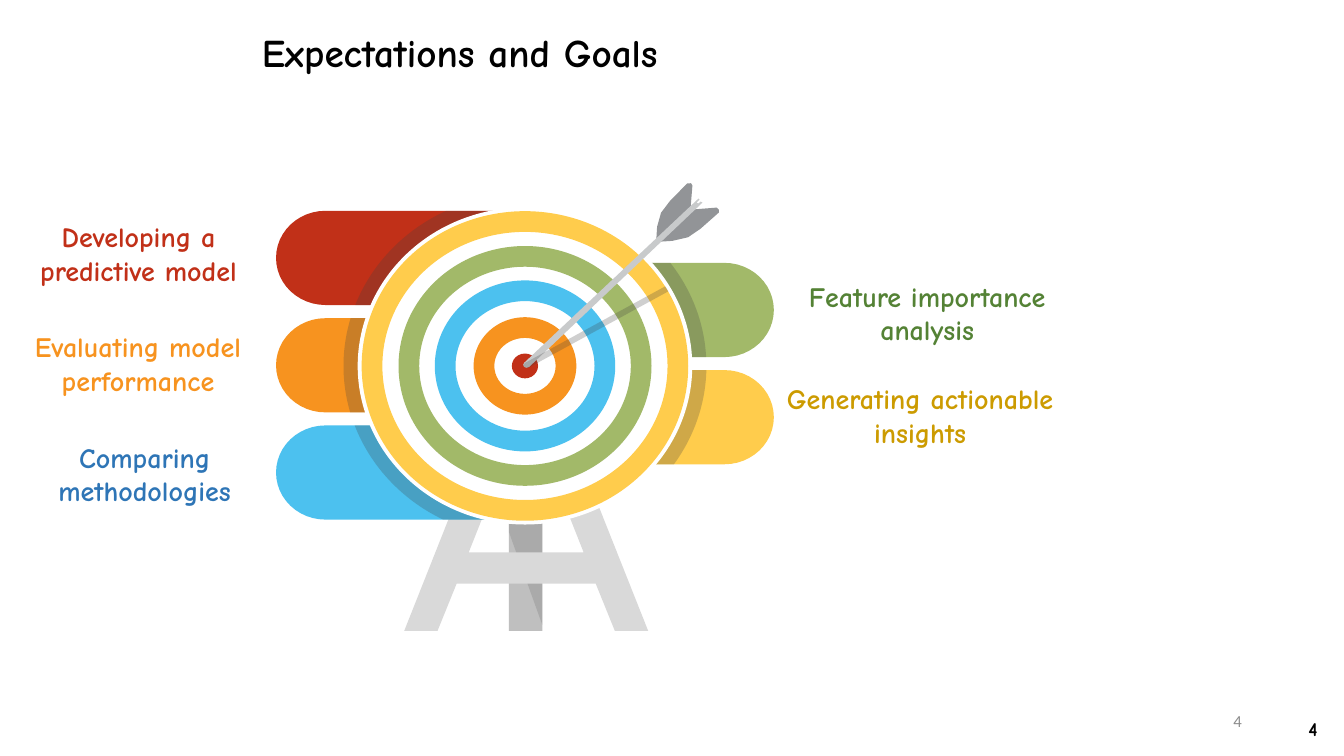
"""Build the slide of goals set around a target with an arrow."""
from math import cos, pi, sin, sqrt
from typing import NamedTuple

from lxml import etree
from pptx import Presentation
from pptx.dml.color import RGBColor
from pptx.enum.shapes import MSO_SHAPE
from pptx.enum.text import MSO_ANCHOR, PP_ALIGN
from pptx.oxml.ns import qn
from pptx.util import Pt

RECT, OVAL, DONUT = MSO_SHAPE.RECTANGLE, MSO_SHAPE.OVAL, MSO_SHAPE.DONUT
TOP, MIDDLE = MSO_ANCHOR.TOP, MSO_ANCHOR.MIDDLE
CENTER, RIGHT = PP_ALIGN.CENTER, PP_ALIGN.RIGHT

BLACK = RGBColor(0x00, 0x00, 0x00)
WHITE = RGBColor(0xFF, 0xFF, 0xFF)
RED = RGBColor(0xC1, 0x30, 0x18)
ORANGE = RGBColor(0xF7, 0x93, 0x1F)
BLUE = RGBColor(0x4C, 0xC1, 0xEF)
GREEN = RGBColor(0xA2, 0xB9, 0x69)
YELLOW = RGBColor(0xFF, 0xCC, 0x4C)
LEAF = RGBColor(0x54, 0x82, 0x35)
NAVY = RGBColor(0x2E, 0x75, 0xB6)
GOLD = RGBColor(0xCC, 0x9B, 0x00)
SHADE = RGBColor(0x40, 0x40, 0x40)
POST = RGBColor(0xBF, 0xBF, 0xBF)
LEGS = RGBColor(0xD9, 0xD9, 0xD9)
VANE = RGBColor(0x92, 0x94, 0x97)
SHAFT = RGBColor(0xC8, 0xCA, 0xCB)
GRAY = RGBColor(0x8C, 0x8C, 0x8C)

HAND, PLAIN = "Comic Neue", "Calibri"
MID_X, MID_Y = 375, 261.4
RATIO = 1.055
BAND = 14.8
TAB_W, TAB_H = 177.8, 67.3
CAP_X, CAP_Y = 35.3, TAB_H / 2
CAST_X, CAST_Y = 129.6, 123
STEPS = 24

Points = list[tuple[float, float]]


class Tab(NamedTuple):
    side: int
    top: float
    color: RGBColor


class Ring(NamedTuple):
    width: float
    color: RGBColor
    solid: bool = False


class Patch(NamedTuple):
    points: Points
    color: RGBColor
    alpha: int = 100


class Label(NamedTuple):
    text: str
    left: float
    top: float
    width: float
    height: float
    color: RGBColor
    size: float = 20
    font: str = HAND
    bold: bool = True
    align: PP_ALIGN = CENTER
    anchor: MSO_ANCHOR = TOP


TABS = [
    Tab(-1, 150.6, RED),
    Tab(-1, 227.3, ORANGE),
    Tab(-1, 303.9, BLUE),
    Tab(1, 187.8, GREEN),
    Tab(1, 264.4, YELLOW),
]
RINGS = [
    Ring(239, WHITE, True),
    Ring(128.9, BLUE),
    Ring(180.7, GREEN),
    Ring(233.3, YELLOW),
    Ring(73.4, ORANGE),
    Ring(18.7, RED, True),
]
STAND = [
    Patch([(387.4, 368.6), (387.4, 446.4), (363.6, 380.2), (363.6, 368.6)],
          SHADE, 16),
    Patch([(439.2, 450.7), (463, 450.7), (427, 360), (403.2, 360),
           (416.9, 394.6), (334.8, 394.6), (348.5, 360), (324.7, 360),
           (288.7, 450.7), (312.5, 450.7), (326.2, 416.9), (425.5, 416.9)],
          LEGS),
]
ARROW = [
    Patch([(469.4, 162), (468.7, 172.8), (493.2, 149.8), (494.6, 132.5),
           (493.6, 130.9), (491, 131), (478.8, 143.3), (472.2, 152)], VANE),
    Patch([(480.2, 172.1), (468.7, 172.8), (493.2, 149.8), (511.9, 148.3),
           (513.4, 149.7), (513.4, 151.9), (500.4, 163.4), (491.5, 169.5)],
          VANE),
    Patch([(499.7, 142.6), (497.5, 144.7), (499, 145.4), (500.4, 144),
           (501.8, 144.7), (378, 262.1), (376.2, 262.7), (374.4, 262.1),
           (373.7, 260.6), (374.4, 259.2), (499, 141.8)], SHAFT),
    Patch([(375.1, 259.2), (475.2, 204.5), (477.4, 208.1), (377.3, 262.8),
           (374.4, 262.1), (373.8, 260.6)], SHADE, 25),
]
LABELS = [
    Label("4", 678.2, 500.4, 216, 28.8, GRAY, 12, PLAIN, False, RIGHT, MIDDLE),
    Label("4", 732.2, 506.2, 216, 28.8, BLACK, 14, align=RIGHT, anchor=MIDDLE),
    Label("Expectations and Goals", 150.5, 0, 355.7, 73.4, BLACK, 28,
          anchor=MIDDLE),
    Label("Developing a predictive model", 1.4, 153.4, 195.1, 55.4, RED),
    Label("Feature importance analysis", 537.8, 195.8, 249.1, 55.4, LEAF),
    Label("Evaluating model performance", 6.5, 231.8, 184.3, 55.4, ORANGE),
    Label("Comparing methodologies", 11.5, 311, 183.6, 55.4, NAVY),
    Label("Generating actionable insights", 537.8, 269.3, 239, 55.4, GOLD),
]


def paint(shape, color: RGBColor, alpha: int = 100) -> None:
    shape.shadow.inherit = False
    shape.line.fill.background()
    shape.fill.solid()
    shape.fill.fore_color.rgb = color
    if alpha < 100:
        tone = shape.fill._xPr.find(qn("a:solidFill"))[0]
        etree.SubElement(tone, qn("a:alpha")).set("val", str(alpha * 1000))


def draw_patch(slide, patch: Patch) -> None:
    spots = [(Pt(x), Pt(y)) for x, y in patch.points]
    pen = slide.shapes.build_freeform(*spots[0])
    pen.add_line_segments(spots[1:], close=True)
    paint(pen.convert_to_shape(), patch.color, patch.alpha)


def draw_tab(slide, tab: Tab) -> None:
    low = tab.top + TAB_H
    cap, cast = [], []
    for step in range(STEPS + 1):
        turn = pi * step / STEPS - pi / 2
        reach = TAB_W - CAP_X + CAP_X * cos(turn)
        cap.append((MID_X + tab.side * reach,
                    tab.top + CAP_Y + CAP_Y * sin(turn)))
        y = tab.top + TAB_H * step / STEPS
        reach = CAST_X * sqrt(1 - ((y - MID_Y) / CAST_Y) ** 2)
        cast.append((MID_X + tab.side * reach, y))
    ends = [(MID_X, low), (MID_X, tab.top)]
    draw_patch(slide, Patch(cap + ends, tab.color))
    draw_patch(slide, Patch(cast + ends, SHADE, 25))


def draw_ring(slide, ring: Ring) -> None:
    high = ring.width / RATIO
    shape = slide.shapes.add_shape(
        OVAL if ring.solid else DONUT, Pt(MID_X - ring.width / 2),
        Pt(MID_Y - high / 2), Pt(ring.width), Pt(high))
    if not ring.solid:
        shape.adjustments[0] = BAND / high
    paint(shape, ring.color)


def draw_label(slide, label: Label) -> None:
    box = slide.shapes.add_textbox(Pt(label.left), Pt(label.top),
                                   Pt(label.width), Pt(label.height))
    frame = box.text_frame
    frame.word_wrap = True
    frame.vertical_anchor = label.anchor
    frame.text = label.text
    line = frame.paragraphs[0]
    line.alignment = label.align
    font = line.runs[0].font
    font.name, font.size, font.bold = label.font, Pt(label.size), label.bold
    font.color.rgb = label.color


def main() -> None:
    deck = Presentation()
    deck.slide_width, deck.slide_height = Pt(960), Pt(540)
    slide = deck.slides.add_slide(deck.slide_layouts[6])
    post = slide.shapes.add_shape(RECT, Pt(363.6), Pt(360), Pt(23.8), Pt(90.7))
    paint(post, POST)
    for patch in STAND:
        draw_patch(slide, patch)
    for tab in TABS:
        draw_tab(slide, tab)
    for ring in RINGS:
        draw_ring(slide, ring)
    for patch in ARROW:
        draw_patch(slide, patch)
    for label in LABELS:
        draw_label(slide, label)
    deck.save("out.pptx")


if __name__ == "__main__":
    main()
